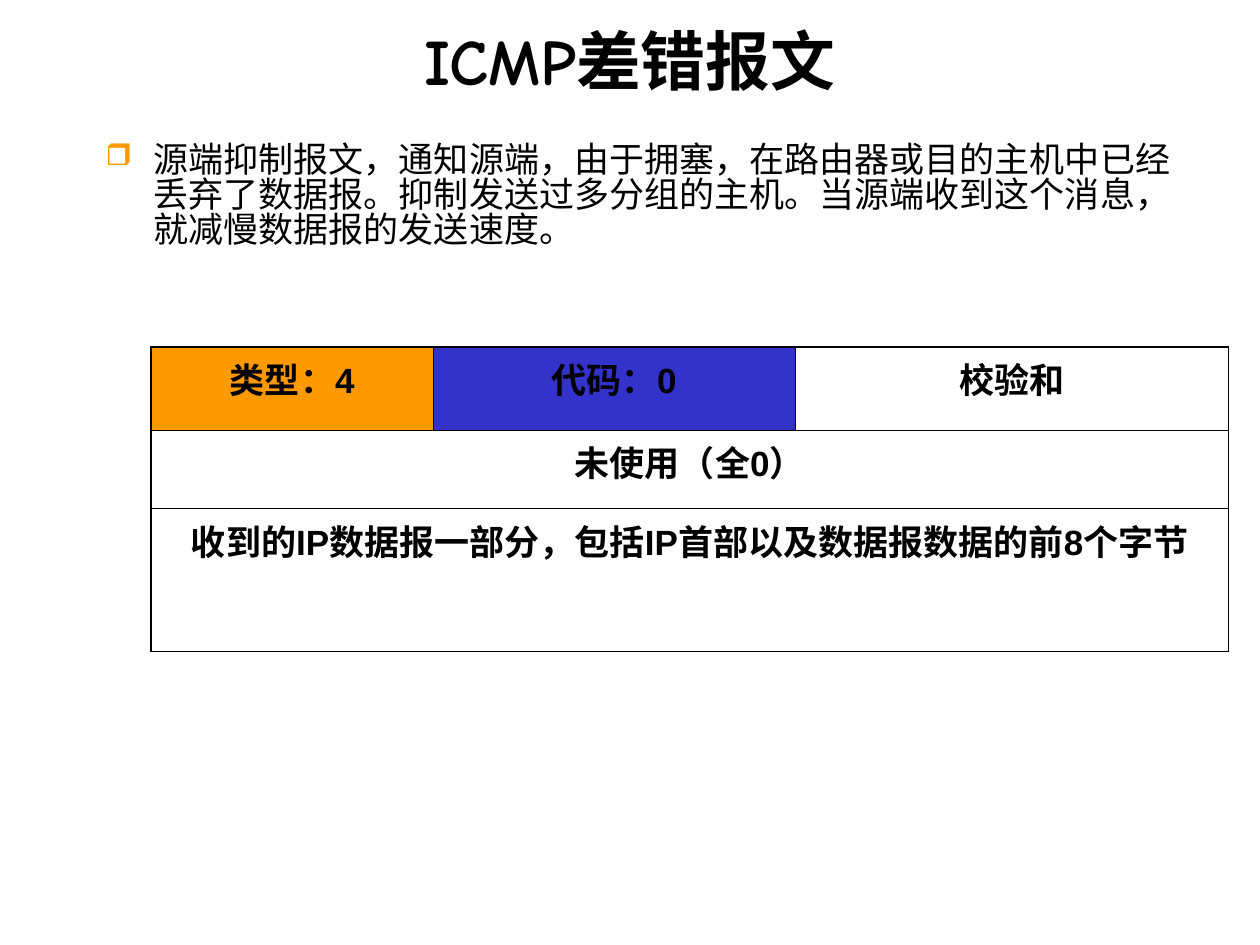
import pptx
import pptx.dml.color
import pptx.enum.text
import pptx.oxml
import pptx.oxml.ns
import pptx.util
from lxml import etree

BLACK = pptx.dml.color.RGBColor(0x00, 0x00, 0x00)
ORANGE = pptx.dml.color.RGBColor(0xFF, 0x99, 0x00)
BLUE = pptx.dml.color.RGBColor(0x33, 0x33, 0xCC)

SLIDE_WIDTH, SLIDE_HEIGHT = 10, 7.5
COLUMN_WIDTHS = (2.24, 2.87, 3.44)
ROW_HEIGHTS = (0.66, 0.62, 1.14)
OUTER_LINE, INNER_LINE = 1.08, 0.45

# Each row of the message format: (text, fill) for every field
MESSAGE_ROWS = (
    (("类型：4", ORANGE), ("代码：0", BLUE), ("校验和", None)),
    (("未使用（全0）", None),),
    (("收到的IP数据报一部分，包括IP首部以及数据报数据的前8个字节", None),),
)


def set_font(paragraph, name, size, bold=False):
    paragraph.font.name = name
    paragraph.font.size = pptx.util.Pt(size)
    paragraph.font.bold = bold
    paragraph.font.color.rgb = BLACK


def add_text(slide, text, left, top, width, height):
    """Add a wrapped text box, placed in shares of the slide's size."""
    box = slide.shapes.add_textbox(
        pptx.util.Inches(left * SLIDE_WIDTH), pptx.util.Inches(top * SLIDE_HEIGHT),
        pptx.util.Inches(width * SLIDE_WIDTH), pptx.util.Inches(height * SLIDE_HEIGHT))
    frame = box.text_frame
    frame.word_wrap = True
    paragraph = frame.paragraphs[0]
    paragraph.text = text
    return frame, paragraph


def add_bullet(paragraph, character, color, percent, indent):
    properties = paragraph._p.get_or_add_pPr()
    properties.set("marL", str(pptx.util.Inches(indent)))
    properties.set("indent", str(-pptx.util.Inches(indent)))
    bullet_color = etree.SubElement(properties, pptx.oxml.ns.qn("a:buClr"))
    etree.SubElement(bullet_color, pptx.oxml.ns.qn("a:srgbClr"), val=str(color))
    etree.SubElement(properties, pptx.oxml.ns.qn("a:buSzPct"), val=str(percent * 1000))
    etree.SubElement(properties, pptx.oxml.ns.qn("a:buChar"), char=character)


def set_borders(cell, widths):
    """Draw the left, right, top and bottom borders of a cell."""
    properties = cell._tc.get_or_add_tcPr()
    for position, (side, width) in enumerate(zip("LRTB", widths)):
        line = etree.Element(pptx.oxml.ns.qn(f"a:ln{side}"), w=str(pptx.util.Pt(width)))
        fill = etree.SubElement(line, pptx.oxml.ns.qn("a:solidFill"))
        etree.SubElement(fill, pptx.oxml.ns.qn("a:srgbClr"), val=str(BLACK))
        properties.insert(position, line)


def fill_cell(cell, text, color):
    if color is None:
        cell.fill.background()
    else:
        cell.fill.solid()
        cell.fill.fore_color.rgb = color
    paragraph = cell.text_frame.paragraphs[0]
    paragraph.text = text
    paragraph.alignment = pptx.enum.text.PP_ALIGN.CENTER
    set_font(paragraph, "Arial", 20, bold=True)


def add_message_table(slide, left, top):
    row_count, column_count = len(ROW_HEIGHTS), len(COLUMN_WIDTHS)
    table = slide.shapes.add_table(
        row_count, column_count,
        pptx.util.Inches(left * SLIDE_WIDTH), pptx.util.Inches(top * SLIDE_HEIGHT),
        pptx.util.Inches(sum(COLUMN_WIDTHS)), pptx.util.Inches(sum(ROW_HEIGHTS))).table
    table.first_row = table.horz_banding = False
    for column, width in zip(table.columns, COLUMN_WIDTHS):
        column.width = pptx.util.Inches(width)
    for row, height in zip(table.rows, ROW_HEIGHTS):
        row.height = pptx.util.Inches(height)

    for row_index, fields in enumerate(MESSAGE_ROWS):
        # A lone field spans the whole row
        if len(fields) == 1:
            table.cell(row_index, 0).merge(table.cell(row_index, column_count - 1))
        for column_index, (text, color) in enumerate(fields):
            fill_cell(table.cell(row_index, column_index), text, color)
        # Thick frame outside, thin lines inside
        for column_index in range(column_count):
            on_edge = (column_index == 0, column_index == column_count - 1 or len(fields) == 1,
                       row_index == 0, row_index == row_count - 1)
            set_borders(table.cell(row_index, column_index),
                        [OUTER_LINE if edge else INNER_LINE for edge in on_edge])


def main():
    presentation = pptx.Presentation()
    presentation.slide_width = pptx.util.Inches(SLIDE_WIDTH)
    presentation.slide_height = pptx.util.Inches(SLIDE_HEIGHT)
    slide = presentation.slides.add_slide(presentation.slide_layouts[6])

    # Title
    frame, title = add_text(slide, "ICMP差错报文", 0.05, 0.017, 0.9, 0.093)
    frame.vertical_anchor = pptx.enum.text.MSO_ANCHOR.MIDDLE
    title.alignment = pptx.enum.text.PP_ALIGN.CENTER
    set_font(title, "Comic Neue", 37, bold=True)

    # Explanation
    frame, explanation = add_text(
        slide,
        "源端抑制报文，通知源端，由于拥塞，在路由器或目的主机中已经丢弃了数据报。"
        "抑制发送过多分组的主机。当源端收到这个消息，就减慢数据报的发送速度。",
        0.074, 0.147, 0.865, 0.225)
    explanation.line_spacing = 0.83
    add_bullet(explanation, "❒", ORANGE, 85, 0.38)
    set_font(explanation, "Comic Neue", 20)

    # Message format
    add_message_table(slide, 0.12, 0.367)

    presentation.save("out.pptx")


if __name__ == "__main__":
    main()
